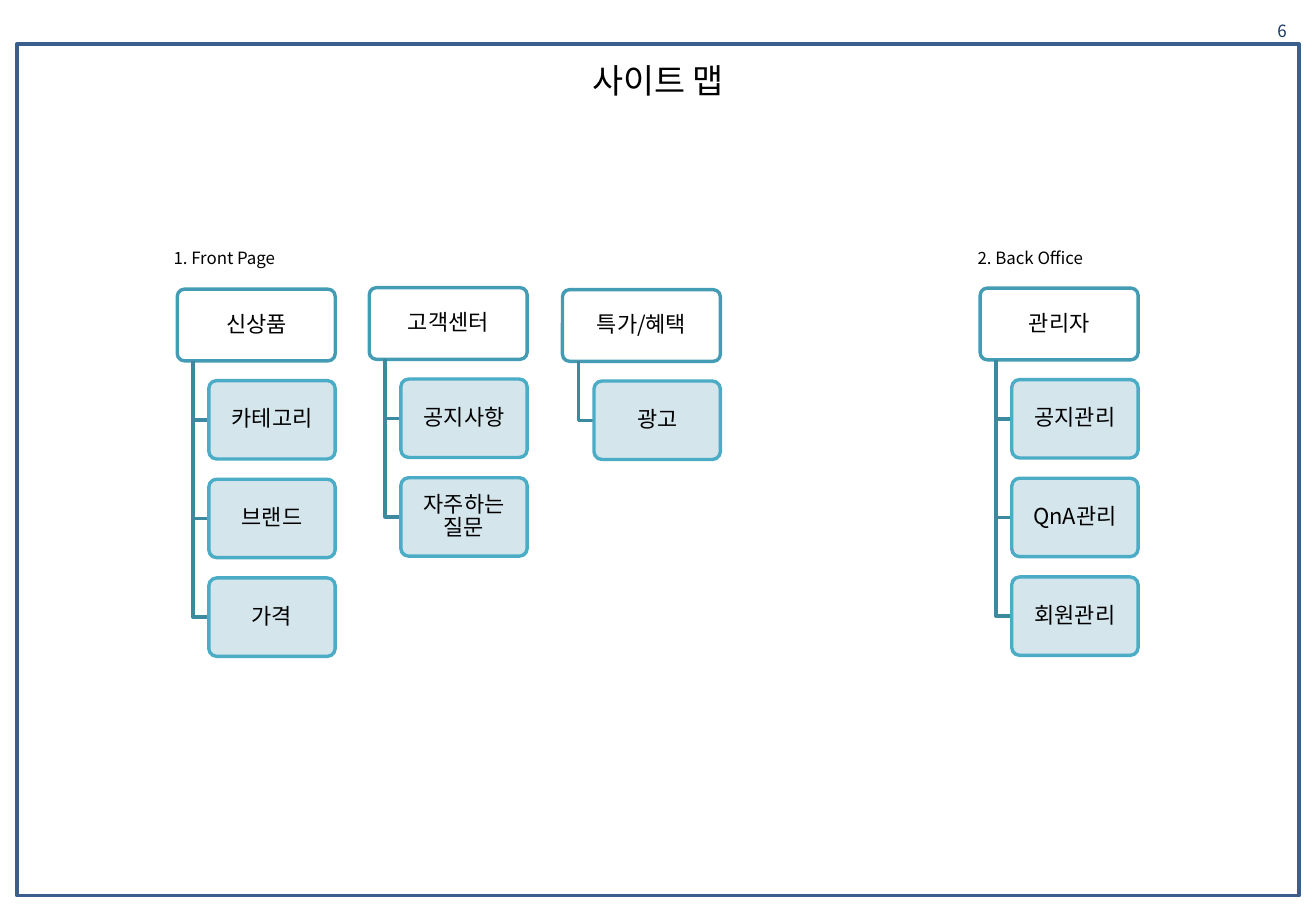
import pptx
import pptx.util
import pptx.dml.color
import pptx.enum.shapes
import pptx.enum.text
import pptx.oxml.ns
import lxml.etree

Pt = pptx.util.Pt
Align = pptx.enum.text.PP_ALIGN
Anchor = pptx.enum.text.MSO_ANCHOR
Kind = pptx.enum.shapes.MSO_SHAPE
qn = pptx.oxml.ns.qn

TITLE = "사이트 맵"
NUMBER = "6"
LABELS = [("1. Front Page", 95.8), ("2. Back Office", 572.4)]
MENUS = [
    (105.1, 171.4, "신상품", ["카테고리", "브랜드", "가격"]),
    (218.9, 170.5, "고객센터", ["공지사항", "자주하는 질문"]),
    (333.4, 171.7, "특가/혜택", ["광고"]),
    (581.0, 170.8, "관리자", ["공지관리", "QnA관리", "회원관리"]),
]

THEME = {
    "font": "Noto Sans CJK KR",
    "ink": "000000", "number": "17375E", "frame": "3A5F8C",
    "head": "FFFFFF", "head_line": "449CB4",
    "item": "D0E3EA", "item_line": "4BACC6", "branch": "3C8A9F",
    "title_size": 20, "menu_size": 13, "small_size": 10,
    "line": 2, "alpha": 90,
}

HEAD_W, HEAD_H = 93.6, 42.5
ITEM_W, ITEM_H = 74.9, 46.5
ITEM_DROP, ITEM_STEP = 54.2, 58.5
INDENT = HEAD_W - ITEM_W
TRUNK = HEAD_W / 10


def color(name):
    return pptx.dml.color.RGBColor.from_string(THEME[name])


def style(shape, fill, line):
    shape.shadow.inherit = False
    if fill:
        shape.fill.solid()
        shape.fill.fore_color.rgb = color(fill)
    else:
        shape.fill.background()
    shape.line.color.rgb = color(line)
    shape.line.width = Pt(THEME["line"])


def write(shape, text, size, align, anchor, ink="ink", pad=(7.2, 3.6), wrap=True):
    frame = shape.text_frame
    frame.text = text
    frame.word_wrap = wrap
    frame.vertical_anchor = anchor
    frame.margin_left = frame.margin_right = Pt(pad[0])
    frame.margin_top = frame.margin_bottom = Pt(pad[1])
    para = frame.paragraphs[0]
    para.alignment = align
    run = para.runs[0]
    run.font.size = Pt(THEME[size])
    run.font.name = THEME["font"]
    run.font.color.rgb = color(ink)
    east = lxml.etree.SubElement(run.font._element, qn("a:ea"))
    east.set("typeface", THEME["font"])
    return para


def label(shapes, box, *args, **extra):
    write(shapes.add_textbox(*map(Pt, box)), *args, **extra)


def card(shapes, box, text, fill, line, pad):
    shape = shapes.add_shape(Kind.ROUNDED_RECTANGLE, *map(Pt, box))
    shape.adjustments[0] = 0.1
    style(shape, fill, line)
    para = write(shape, text, "menu_size", Align.CENTER, Anchor.MIDDLE, pad=pad)
    para.line_spacing = 0.9
    return shape


def branch(shapes, left, top, right, bottom):
    path = shapes.build_freeform(Pt(left), Pt(top))
    path.add_line_segments(
        [(Pt(left), Pt(bottom)), (Pt(right), Pt(bottom))], close=False)
    style(path.convert_to_shape(), None, "branch")


def menu(shapes, left, top, head, items):
    card(shapes, (left, top, HEAD_W, HEAD_H), head, "head", "head_line", (2.9, 2.9))
    for row, text in enumerate(items):
        y = top + ITEM_DROP + row * ITEM_STEP
        branch(shapes, left + TRUNK, top + HEAD_H, left + INDENT, y + ITEM_H / 2)
        item = card(shapes, (left + INDENT, y, ITEM_W, ITEM_H), text,
                    "item", "item_line", (3.6, 2.9))
        tint = item.fill._xPr.find(qn("a:solidFill"))[0]
        alpha = lxml.etree.SubElement(tint, qn("a:alpha"))
        alpha.set("val", str(THEME["alpha"] * 1000))


def main():
    deck = pptx.Presentation()
    deck.slide_width, deck.slide_height = Pt(780), Pt(540)
    shapes = deck.slides.add_slide(deck.slide_layouts[6]).shapes

    frame = shapes.add_shape(Kind.RECTANGLE, *map(Pt, (10, 26, 760, 505)))
    style(frame, None, "frame")
    label(shapes, (10, 27.4, 760, 39.6), TITLE, "title_size", Align.CENTER, Anchor.MIDDLE)
    label(shapes, (724.3, 9.4, 45.4, 17.3), NUMBER, "small_size",
          Align.RIGHT, Anchor.MIDDLE, ink="number")
    for text, left in LABELS:
        label(shapes, (left, 143.3, 77, 19.4), text, "small_size",
              Align.LEFT, Anchor.TOP, wrap=False)
    for entry in MENUS:
        menu(shapes, *entry)
    deck.save("out.pptx")


if __name__ == "__main__":
    main()
